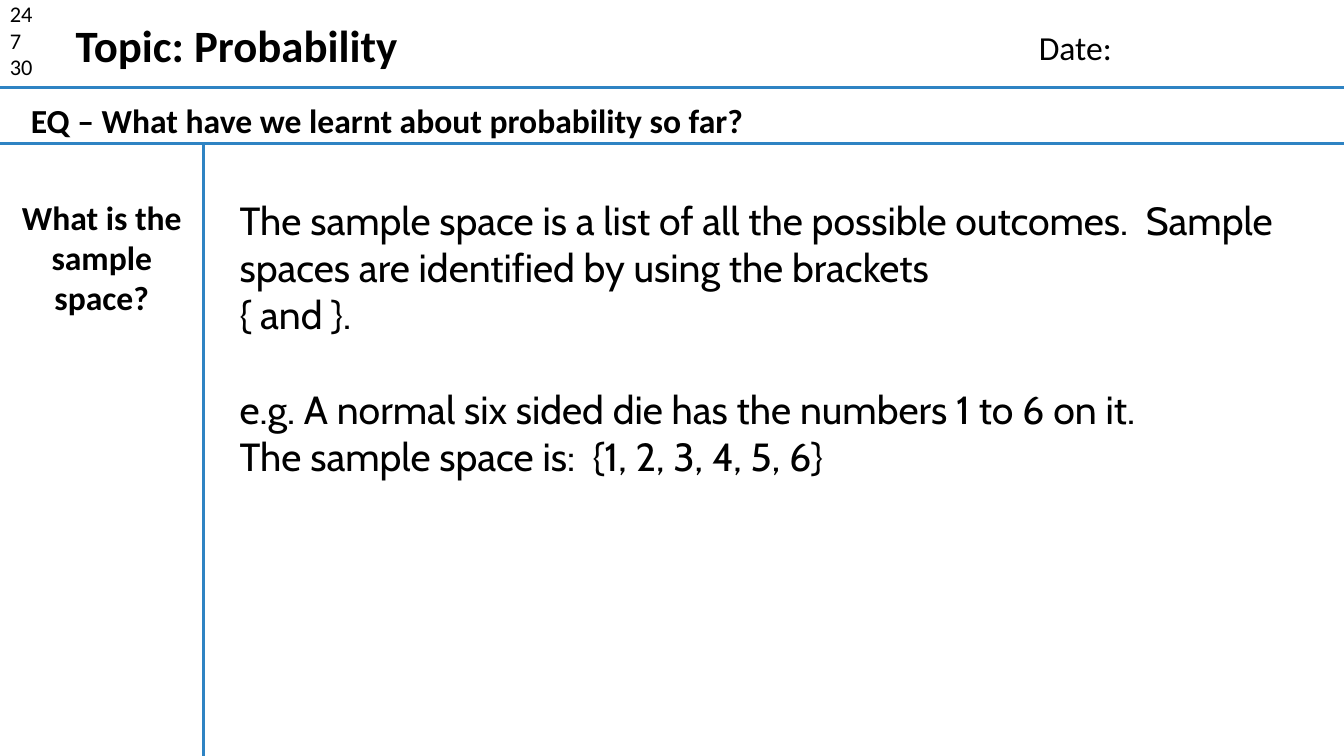
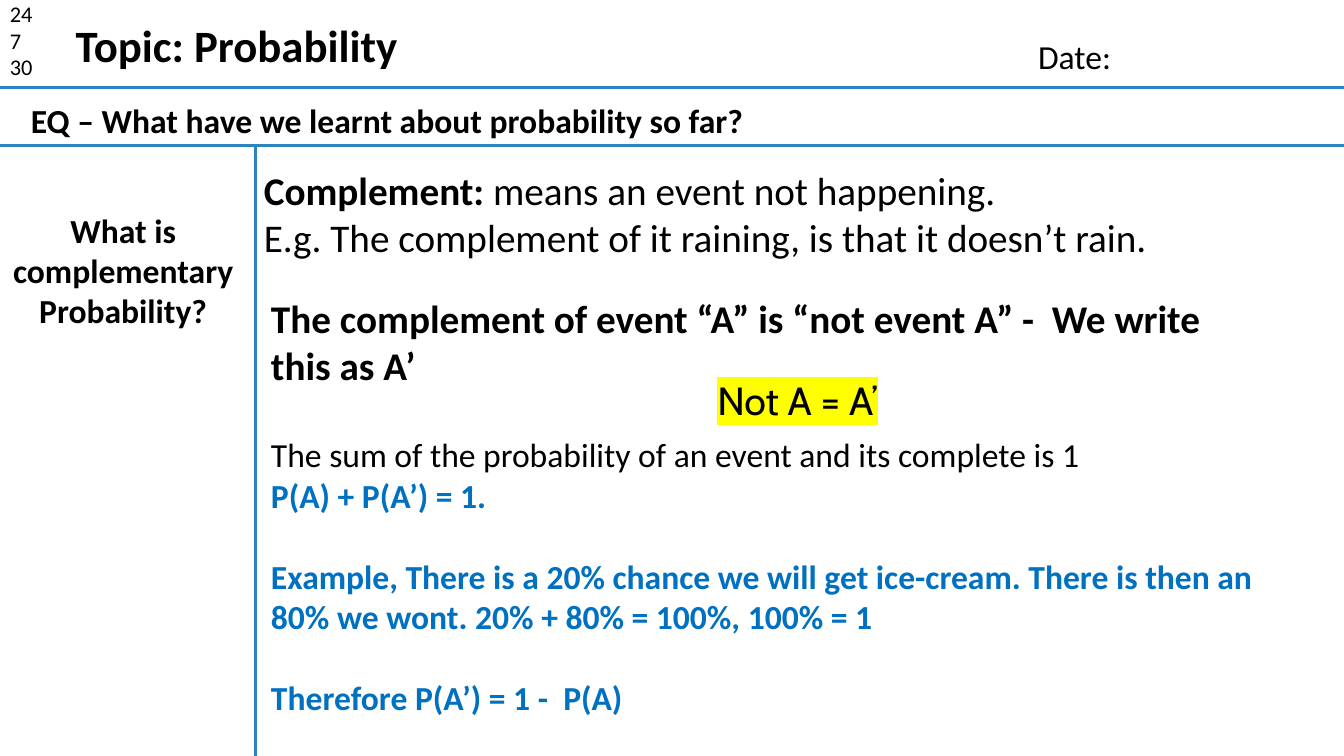
from lxml import etree
from pptx import Presentation
from pptx.dml.color import RGBColor
from pptx.enum.shapes import MSO_CONNECTOR
from pptx.enum.text import MSO_ANCHOR, MSO_AUTO_SIZE, PP_ALIGN
from pptx.oxml.ns import qn
from pptx.util import Cm, Pt

STRAIGHT = MSO_CONNECTOR.STRAIGHT
TOP, NO_AUTOFIT = MSO_ANCHOR.TOP, MSO_AUTO_SIZE.NONE
LEFT, CENTER = PP_ALIGN.LEFT, PP_ALIGN.CENTER

BLACK = RGBColor(0x00, 0x00, 0x00)
RULE_BLUE = RGBColor(0x2E, 0x83, 0xC3)
TEXT_BLUE = RGBColor(0x00, 0x70, 0xC0)
YELLOW = "FFFF00"

SLIDE_W, SLIDE_H = 33.87, 19.05
HEADER_RULE_Y = 2.21

PLAIN = {"name": "Calibri", "size": Pt(24), "bold": False, "color": BLACK}
BOLD = {**PLAIN, "bold": True}
TOPIC_STYLE = {**BOLD, "size": Pt(32)}
COUNT_STYLE = {**PLAIN, "size": Pt(16)}
LARGE = {**PLAIN, "size": Pt(28)}
LARGE_BOLD = {**LARGE, "bold": True}
CABIN = {**LARGE, "name": "Cabin"}
MARKED = {**CABIN, "highlight": YELLOW}
BLUE_BOLD = {**BOLD, "color": TEXT_BLUE}

# A paragraph is (points of space before, [(text, style), ...]);
# a box is (left, top, width, height) in centimetres.
TOPIC = [(0, [("Topic: Probability", TOPIC_STYLE)])]
QUESTION = [(0, [("EQ – What have we learnt about probability so far?", BOLD)])]
COUNTS = [(0, [(count, COUNT_STYLE)]) for count in ("24", "7", "30")]
DATE = [(0, [("Date:", PLAIN)])]

TOPIC_BOX = (1.65, 0.33, 9, 1.63)
QUESTION_BOX = (0.53, 2.39, 29.46, 1.27)
COUNTS_BOX = (0, -0.13, 1.6, 2.31)

LESSONS = [
    {
        "date_box": (25.93, 0.56, 6, 1.27),
        "question_rule_y": 3.61,
        "divider_x": 5.13,
        "prompt": "What is the sample space?",
        "prompt_box": (0, 4.83, 5.13, 3.33),
        "notes": [
            ((5.79, 4.83, 26.54, 7.44), [
                (0, [("The sample space is a list of all the possible outcomes.  "
                      "Sample spaces are identified by using the brackets", CABIN)]),
                (0, [("{ and }.", CABIN)]),
                (34, [("e.g. A normal six sided die has the numbers 1 to 6 on it.", CABIN)]),
                (0, [("The sample space is:  {1, 2, 3, 4, 5, 6}", CABIN)]),
            ]),
        ],
    },
    {
        "date_box": (25.91, 0.79, 6, 1.27),
        "question_rule_y": 3.66,
        "divider_x": 6.43,
        "prompt": "What is complementary Probability?",
        "prompt_box": (-0.03, 5.16, 6.27, 3.33),
        "notes": [
            ((6.4, 4.06, 24.33, 2.7), [
                (0, [("Complement: ", LARGE_BOLD), ("means an event not happening.", LARGE)]),
                (0, [("E.g. The complement of it raining, is that it doesn’t rain.", LARGE)]),
            ]),
            ((6.58, 7.29, 24.79, 2.64), [
                (0, [("The complement of event “A” is “not event A” -  "
                      "We write this as A’", LARGE_BOLD)]),
            ]),
            ((17.83, 9.35, 5, 1.45), [(0, [("Not A = A’", MARKED)])]),
            ((6.58, 10.82, 26.11, 7.44), [
                (0, [("The sum of the probability of an event and its complete is 1", PLAIN)]),
                (0, [("P(A) + P(A’) = 1.", BLUE_BOLD)]),
                (29, [("Example, There is a 20% chance we will get ice-cream. There is "
                       "then an 80% we wont. 20% + 80% = 100%, 100% = 1", BLUE_BOLD)]),
                (29, [("Therefore P(A’) = 1 -  P(A)", BLUE_BOLD)]),
            ]),
        ],
    },
]


def format_run(run, style):
    # The highlight must precede the typeface in the run properties.
    for key, value in style.items():
        if key == "highlight":
            mark = etree.Element(qn("a:highlight"))
            etree.SubElement(mark, qn("a:srgbClr"), val=value)
            run.font.fill._xPr.find(qn("a:solidFill")).addnext(mark)
        elif key == "color":
            run.font.color.rgb = value
        else:
            setattr(run.font, key, value)


def fill_text(shape, box, paragraphs, align=LEFT):
    """Place a text shape and write its formatted paragraphs."""
    shape.left, shape.top, shape.width, shape.height = map(Cm, box)
    frame = shape.text_frame
    frame.word_wrap = True
    frame.auto_size = NO_AUTOFIT
    frame.vertical_anchor = TOP
    for index, (space, runs) in enumerate(paragraphs):
        paragraph = frame.add_paragraph() if index else frame.paragraphs[0]
        paragraph.alignment = align
        paragraph.space_before = Pt(space)
        for text, style in runs:
            run = paragraph.add_run()
            run.text = text
            format_run(run, style)


def add_text(slide, box, paragraphs, align=LEFT):
    fill_text(slide.shapes.add_textbox(*map(Cm, box)), box, paragraphs, align)


def add_rule(slide, *ends):
    rule = slide.shapes.add_connector(STRAIGHT, *map(Cm, ends))
    rule.line.color.rgb = RULE_BLUE
    rule.line.width = Pt(2.25)
    etree.SubElement(rule._element.spPr, qn("a:effectLst"))


def add_lesson(deck, lesson):
    slide = deck.slides.add_slide(deck.slide_layouts[5])
    fill_text(slide.shapes.title, TOPIC_BOX, TOPIC)

    rule_y, divider_x = lesson["question_rule_y"], lesson["divider_x"]
    for y in (HEADER_RULE_Y, rule_y):
        add_rule(slide, 0, y, SLIDE_W, y)
    add_rule(slide, divider_x, rule_y, divider_x, SLIDE_H)

    add_text(slide, COUNTS_BOX, COUNTS)
    add_text(slide, lesson["date_box"], DATE)
    add_text(slide, QUESTION_BOX, QUESTION)
    add_text(slide, lesson["prompt_box"], [(0, [(lesson["prompt"], BOLD)])], CENTER)
    for box, paragraphs in lesson["notes"]:
        add_text(slide, box, paragraphs)


def main():
    deck = Presentation()
    deck.slide_width, deck.slide_height = Cm(SLIDE_W), Cm(SLIDE_H)
    for lesson in LESSONS:
        add_lesson(deck, lesson)
    deck.save("out.pptx")


if __name__ == "__main__":
    main()
